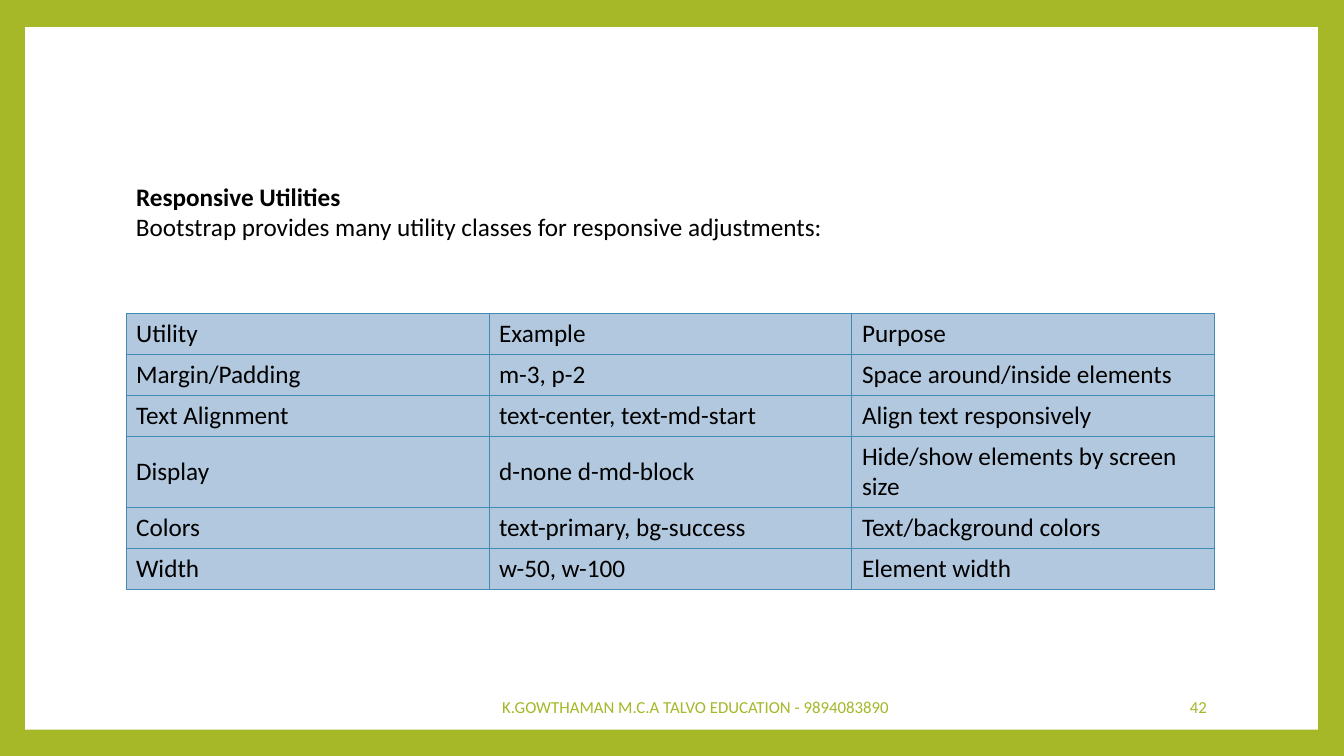
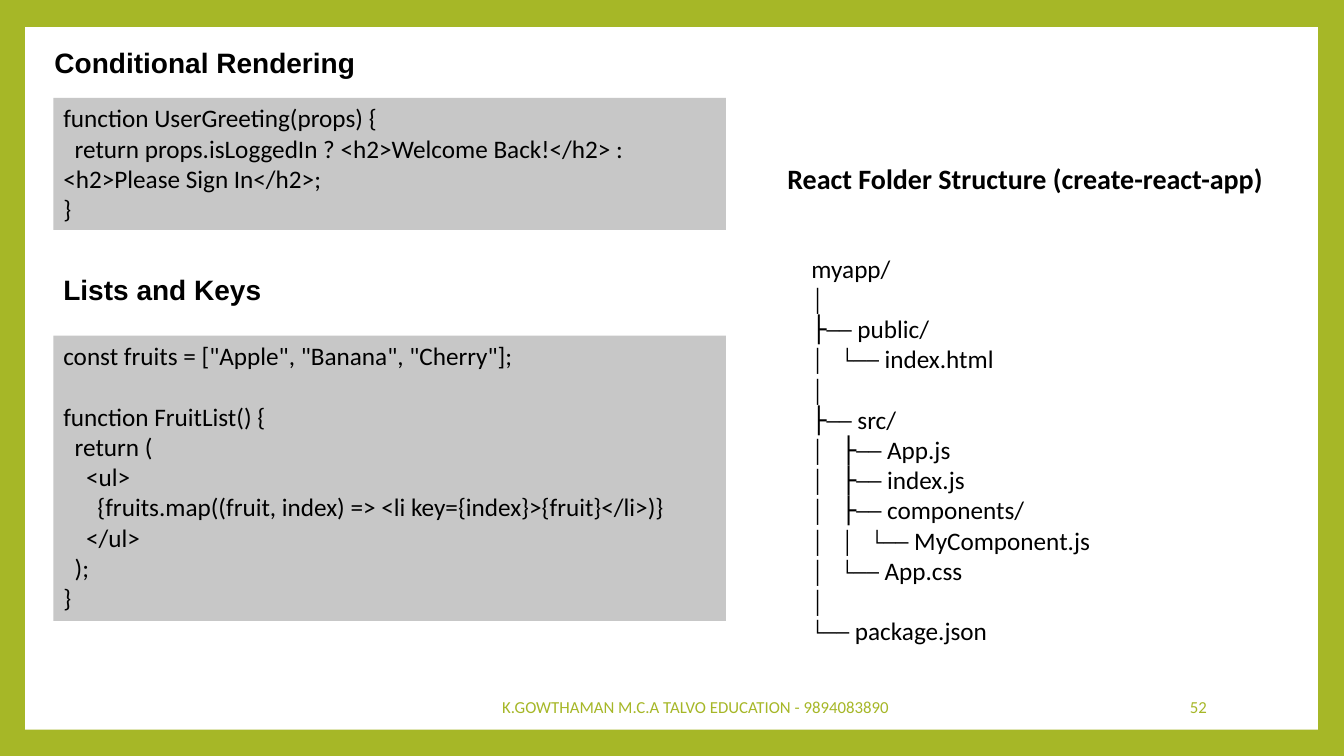
import pptx
import pptx.dml.color
import pptx.enum.shapes
import pptx.enum.text
import pptx.oxml
import pptx.oxml.ns
import pptx.util

Inches = pptx.util.Inches
RGBColor = pptx.dml.color.RGBColor
ALIGN = pptx.enum.text.PP_ALIGN
ANCHOR = pptx.enum.text.MSO_ANCHOR
RECTANGLE = pptx.enum.shapes.MSO_SHAPE.RECTANGLE

GREEN = RGBColor(0xA6, 0xB7, 0x27)
WHITE = RGBColor(0xFF, 0xFF, 0xFF)
BLACK = RGBColor(0x00, 0x00, 0x00)
CODE_GREY = RGBColor(0xC7, 0xC7, 0xC7)
CELL_BLUE = RGBColor(0xB2, 0xC8, 0xDE)
BORDER_BLUE = RGBColor(0x41, 0x8A, 0xB3)

TITLE_ONLY = 5
FOOTER = "K.GOWTHAMAN M.C.A TALVO EDUCATION - 9894083890"

UTILITIES = [
    ("Utility", "Example", "Purpose"),
    ("Margin/Padding", "m-3, p-2", "Space around/inside elements"),
    ("Text Alignment", "text-center, text-md-start", "Align text responsively"),
    ("Display", "d-none d-md-block", "Hide/show elements by screen size"),
    ("Colors", "text-primary, bg-success", "Text/background colors"),
    ("Width", "w-50, w-100", "Element width"),
]
ROW_HEIGHTS = [0.4, 0.4, 0.4, 0.7, 0.4, 0.4]

GREETING_CODE = """function UserGreeting(props) {
  return props.isLoggedIn ? <h2>Welcome Back!</h2> : <h2>Please Sign In</h2>;
}"""

FRUIT_CODE = """const fruits = ["Apple", "Banana", "Cherry"];

function FruitList() {
  return (
    <ul>
      {fruits.map((fruit, index) => <li key={index}>{fruit}</li>)}
    </ul>
  );
}"""

FOLDER_TREE = """myapp/
│
├── public/
│   └── index.html
│
├── src/
│   ├── App.js
│   ├── index.js
│   ├── components/
│   │   └── MyComponent.js
│   └── App.css
│
└── package.json"""


# Text and shapes
def write_text(frame, text, size=18, font="Calibri", color=BLACK, bold=False,
               align=ALIGN.LEFT):
    """Fill a text frame, one paragraph per line."""
    for number, line in enumerate(text.split("\n")):
        para = frame.paragraphs[0] if number == 0 else frame.add_paragraph()
        para.alignment = align
        para.font.size = pptx.util.Pt(size)
        if line:
            span = para.add_run()
            span.text = line
            span.font.name = font
            span.font.size = pptx.util.Pt(size)
            span.font.bold = bold
            span.font.color.rgb = color


def format_frame(frame, anchor=ANCHOR.TOP, wrap=True):
    frame.auto_size = pptx.enum.text.MSO_AUTO_SIZE.NONE
    frame.vertical_anchor = anchor
    frame.word_wrap = wrap


def add_text(slide, area, text, anchor=ANCHOR.TOP, wrap=True, **style):
    box = slide.shapes.add_textbox(*map(Inches, area))
    format_frame(box.text_frame, anchor, wrap)
    write_text(box.text_frame, text, **style)


def set_title(slide, area, text, **style):
    title = slide.shapes.title
    title.left, title.top, title.width, title.height = map(Inches, area)
    format_frame(title.text_frame)
    write_text(title.text_frame, text, bold=True, **style)


def add_panel(slide, area, color):
    panel = slide.shapes.add_shape(RECTANGLE, *map(Inches, area))
    panel.shadow.inherit = False
    panel.fill.solid()
    panel.fill.fore_color.rgb = color
    panel.line.fill.background()
    return panel


def add_code(slide, area, code):
    panel = add_panel(slide, area, CODE_GREY)
    format_frame(panel.text_frame)
    write_text(panel.text_frame, code)


# Table
def set_borders(cell):
    properties = cell._tc.get_or_add_tcPr()
    for side in ("lnL", "lnR", "lnT", "lnB"):
        properties.append(pptx.oxml.parse_xml(
            f'<a:{side} {pptx.oxml.ns.nsdecls("a")} w="10000"><a:solidFill>'
            f'<a:srgbClr val="{BORDER_BLUE}"/></a:solidFill></a:{side}>'))


def add_grid(slide, area, rows, heights):
    frame = slide.shapes.add_table(len(rows), len(rows[0]), *map(Inches, area))
    table = frame.table
    table.first_row = table.horz_banding = False
    for row, height, texts in zip(table.rows, heights, rows):
        row.height = Inches(height)
        for cell, text in zip(row.cells, texts):
            set_borders(cell)
            cell.fill.solid()
            cell.fill.fore_color.rgb = CELL_BLUE
            cell.vertical_anchor = ANCHOR.MIDDLE
            write_text(cell.text_frame, text)


# Shared frame and footer
def style_master(deck, slide):
    """Give the master its green border and white panel."""
    master = deck.slide_master
    master.background.fill.solid()
    master.background.fill.fore_color.rgb = GREEN
    panel = add_panel(slide, (0.25, 0.27, 12.82, 6.97), WHITE)
    master.shapes._spTree.insert(2, panel._element)


def add_page(deck, number):
    slide = deck.slides.add_slide(deck.slide_layouts[TITLE_ONLY])
    footer_style = dict(anchor=ANCHOR.MIDDLE, size=12, color=GREEN)
    add_text(slide, (4.32, 6.81, 5.16, 0.4), FOOTER, align=ALIGN.CENTER,
             **footer_style)
    add_text(slide, (10.2, 6.81, 1.87, 0.4), str(number), align=ALIGN.RIGHT,
             **footer_style)
    return slide


# Slides
def build_utilities(slide):
    set_title(slide, (1.25, 1.75, 10.99, 0.4), "Responsive Utilities")
    add_text(slide, (1.25, 2.05, 10.99, 0.4),
             "Bootstrap provides many utility classes for responsive adjustments:")
    add_grid(slide, (1.25, 3.11, 10.8, 2.7), UTILITIES, ROW_HEIGHTS)


def build_react(slide):
    set_title(slide, (0.44, 0.4, 6.76, 0.44), "Conditional Rendering",
              size=20, font="Arial")
    add_code(slide, (0.53, 0.97, 6.67, 1.31), GREETING_CODE)
    add_text(slide, (0.53, 2.65, 2.18, 0.44), "Lists and Keys", wrap=False,
             size=20, font="Arial", bold=True)
    add_code(slide, (0.53, 3.33, 6.67, 2.83), FRUIT_CODE)
    add_text(slide, (7.71, 1.55, 5.15, 0.44),
             "React Folder Structure (create-react-app)", wrap=False,
             size=20, bold=True)
    add_text(slide, (7.95, 2.46, 4.32, 4.04), FOLDER_TREE)


def main():
    deck = pptx.Presentation()
    deck.slide_width = Inches(13.33)
    deck.slide_height = Inches(7.5)
    utilities = add_page(deck, 42)
    style_master(deck, utilities)
    build_utilities(utilities)
    build_react(add_page(deck, 52))
    deck.save("out.pptx")


if __name__ == "__main__":
    main()
